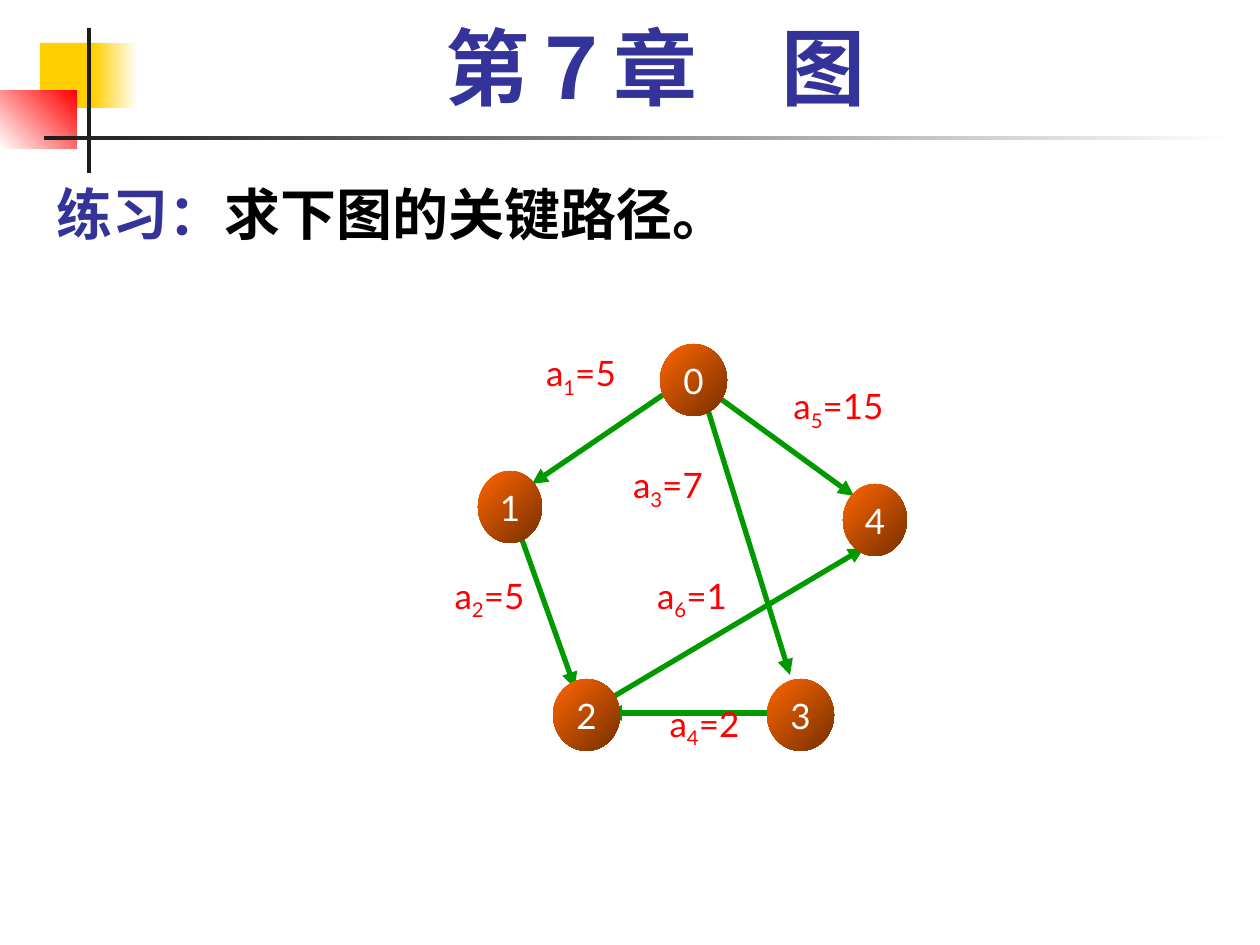
from lxml import etree
from pptx import Presentation
from pptx import util as u
from pptx.dml.color import RGBColor
from pptx.enum import shapes, text
from pptx.oxml import ns

PX = 914400 / 126
LATIN, CJK, SERIF = "Lato", "Noto Sans CJK SC", "Times New Roman"
COLORS = {
    "yellow": "FFCF01", "white": "FFFFFF", "red": "FF0000", "ink": "1C1C1C",
    "navy": "333399", "black": "000000", "green": "009900",
    "orange": "FF6600", "brown": "762F00",
}
BLOCKS = [
    (40, 43, 60, 65, ["yellow"], 0),
    (93, 43, 45, 65, ["yellow", "white"], 0),
    (0, 91, 77, 58, ["white", "red"], 45),
    (87, 28, 4, 145, ["ink"], 0),
    (44, 136, 1191, 4, ["ink", "white"], 0),
]
EDGES = [
    (714, 394, 854, 496), (520, 534, 575, 688), (682, 382, 532, 484),
    (703, 394, 790, 675), (767, 713, 606, 713), (606, 701, 864, 548),
]
NODES = [
    ("1", 478, 471, 64), ("3", 767, 679, 67), ("2", 553, 679, 67),
    ("4", 843, 484, 64), ("0", 660, 344, 67),
]
LABELS = [
    ("1", "5", 505, 345, 152), ("2", "5", 422, 568, 135),
    ("5", "15", 769, 378, 139), ("6", "1", 616, 568, 152),
    ("3", "7", 588, 457, 160), ("4", "2", 630, 696, 149),
]


def px(*lengths):
    return [u.Emu(round(length * PX)) for length in lengths]


def color(name):
    return RGBColor.from_string(COLORS[name])


def set_font(font, size, name, shade, bold=False):
    font.size, font.name, font.bold = u.Pt(size), name, bold
    font.color.rgb = color(shade)


def set_east_asian(span):
    properties = span._r.get_or_add_rPr()
    latin = properties.find(ns.qn("a:latin"))
    face = etree.Element(ns.qn("a:ea"), typeface=CJK)
    if latin is None:
        properties.append(face)
    else:
        latin.addnext(face)


def add_block(page, kind, left, top, width, height, shades, angle):
    block = page.shapes.add_shape(kind, *px(left, top, width, height))
    block.shadow.inherit = False
    block.line.fill.background()
    if len(shades) == 1:
        block.fill.solid()
        block.fill.fore_color.rgb = color(shades[0])
    else:
        block.fill.gradient()
        block.fill.gradient_angle = angle
        for stop, shade in zip(block.fill.gradient_stops, shades):
            stop.color.rgb = color(shade)
    return block


def fill_placeholder(box, place, anchor, spacing, align, size, name, parts):
    box.left, box.top, box.width, box.height = px(*place)
    frame = box.text_frame
    frame.auto_size = text.MSO_AUTO_SIZE.NONE
    frame.vertical_anchor = anchor
    para = frame.paragraphs[0]
    properties = para._p.get_or_add_pPr()
    properties.set("marL", "0")
    properties.set("indent", "0")
    para.line_spacing = spacing
    para.space_before = u.Pt(0)
    para.alignment = align
    etree.SubElement(properties, ns.qn("a:buNone"))
    for words, shade in parts:
        span = para.add_run()
        span.text = words
        set_font(span.font, size, name, shade, True)
        set_east_asian(span)


def add_edge(page, *ends):
    edge = page.shapes.add_connector(shapes.MSO_CONNECTOR.STRAIGHT, *px(*ends))
    edge.line.color.rgb = color("green")
    edge.line.width = u.Pt(3)
    etree.SubElement(edge.line._get_or_add_ln(), ns.qn("a:tailEnd"), type="triangle")
    etree.SubElement(edge._element.spPr, ns.qn("a:effectLst"))


def add_node(page, name, left, top, width):
    node = add_block(page, shapes.MSO_SHAPE.OVAL, left, top, width, 72,
                     ["orange", "brown"], 315)
    frame = node.text_frame
    frame.word_wrap = False
    frame.margin_left = frame.margin_right = 0
    frame.vertical_anchor = text.MSO_ANCHOR.MIDDLE
    para = frame.paragraphs[0]
    para.text = name
    para.alignment = text.PP_ALIGN.CENTER
    set_font(para.font, 20, LATIN, "white")


def add_label(page, index, weight, left, top, width):
    box = page.shapes.add_textbox(*px(left, top, width, 84))
    box.text_frame.word_wrap = True
    para = box.text_frame.paragraphs[0]
    para.alignment = text.PP_ALIGN.CENTER
    set_font(para.font, 20, LATIN, "red")
    for words in ("a", index, f"={weight}"):
        span = para.add_run()
        span.text = words
        if words == index:
            span.font._element.set("baseline", "-25000")


def main():
    deck = Presentation()
    deck.slide_width, deck.slide_height = px(1260, 945)
    page = deck.slides.add_slide(deck.slide_layouts[1])
    for *place, shades, angle in BLOCKS:
        add_block(page, shapes.MSO_SHAPE.RECTANGLE, *place, shades, angle)
    fill_placeholder(page.shapes.title, (84, 21, 1144, 105), text.MSO_ANCHOR.TOP,
                     0.9, text.PP_ALIGN.CENTER, 48, SERIF, [("第７章　图", "navy")])
    fill_placeholder(page.placeholders[1], (44, 145, 1131, 108), text.MSO_ANCHOR.BOTTOM,
                     1.5, text.PP_ALIGN.LEFT, 32, CJK,
                     [("练习：", "navy"), ("求下图的关键路径。", "black")])
    for edge in EDGES:
        add_edge(page, *edge)
    for node in NODES:
        add_node(page, *node)
    for label in LABELS:
        add_label(page, *label)
    deck.save("out.pptx")


if __name__ == "__main__":
    main()
